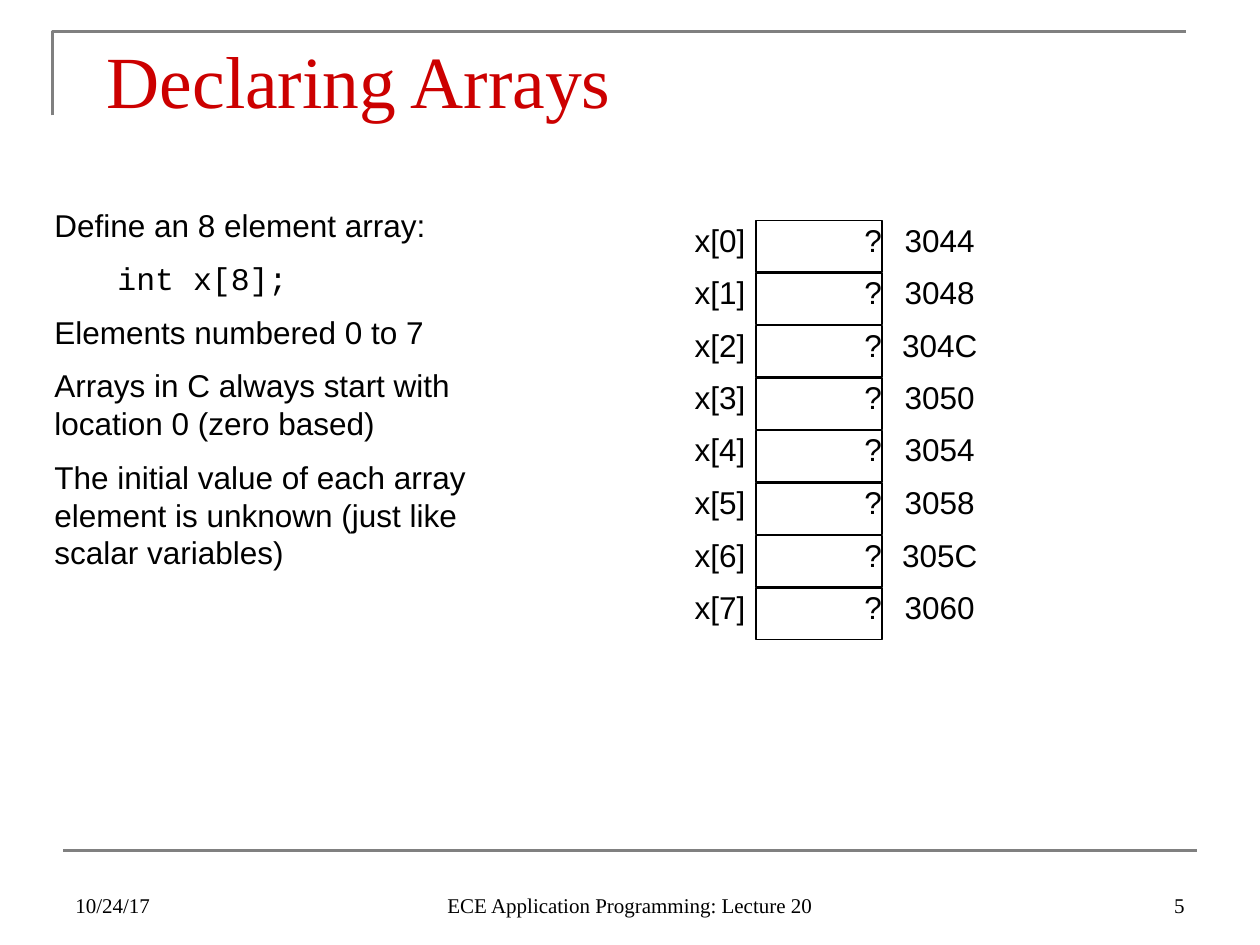
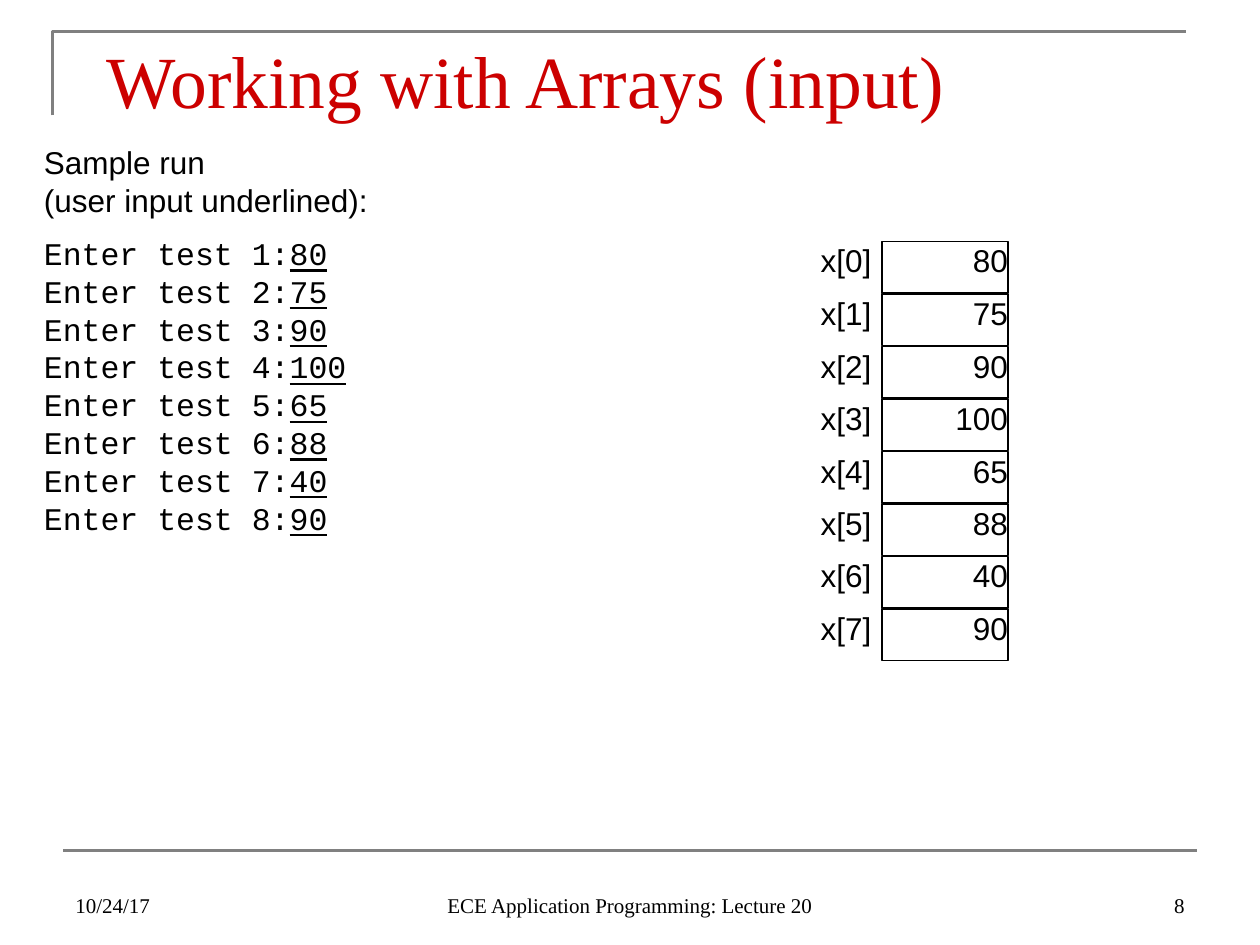
from pptx import Presentation
from pptx.dml.color import RGBColor
from pptx.enum.shapes import MSO_CONNECTOR, MSO_SHAPE
from pptx.enum.text import MSO_ANCHOR, PP_ALIGN
from pptx.oxml.ns import qn
from pptx.util import Pt
from lxml import etree

SANS, MONO, SERIF = "Arial", "Courier New", "Times New Roman"
BLACK, GRAY, RED = "000000", "808080", "CC0000"
LEFT, CENTER, RIGHT = PP_ALIGN.LEFT, PP_ALIGN.CENTER, PP_ALIGN.RIGHT
DATE = "10/24/17"
COURSE = "ECE Application Programming: Lecture 20"
BODY_SIZE, LINE_HEIGHT, PARA_GAP = 18, 21.6, 9
ROW_PITCH, CELL_HEIGHT, CELL_WIDTH, LABEL_WIDTH = 30, 29.5, 72, 66

scores = [80, 75, 90, 100, 65, 88, 40, 90]

slides = [
    {
        "title": "Declaring Arrays",
        "number": 5,
        "body_box": (24, 114, 276, 225),
        "body": [
            [[("Define an 8 element array:", SANS, False)]],
            [[("\t", SANS, False), ("int x[8];", MONO, False)]],
            [[("Elements numbered 0 to 7", SANS, False)]],
            [[("Arrays in C always start with location 0 (zero based)", SANS, False)]],
            [[("The initial value of each array element is unknown "
               "(just like scalar variables)", SANS, False)]],
        ],
        "array_at": (360, 126),
        "values": ["?"] * 8,
        "addresses": ["3044", "3048", "304C", "3050", "3054", "3058", "305C", "3060"],
    },
    {
        "title": "Working with Arrays (input)",
        "number": 8,
        "body_box": (18, 78, 288, 381),
        "body": [
            [[("Sample run ", SANS, False)], [("(user input underlined):", SANS, False)]],
            [[(f"Enter test {n}:", MONO, False), (str(score), MONO, True)]
             for n, score in enumerate(scores, 1)],
        ],
        "array_at": (432, 138),
        "values": [str(score) for score in scores],
        "addresses": [],
    },
]


def rgb(color):
    return RGBColor.from_string(color)


def style(font, name, size, color=BLACK):
    font.name = name
    font.size = Pt(size)
    font.color.rgb = rgb(color)


def add_box(s, box):
    tf = s.shapes.add_textbox(*map(Pt, box)).text_frame
    tf.word_wrap = True
    return tf


def add_line_text(s, box, text, font, size, color=BLACK, align=LEFT, anchor=MSO_ANCHOR.TOP):
    tf = add_box(s, box)
    tf.vertical_anchor = anchor
    set_line(tf, text, font, size, color, align)
    return tf


def set_line(tf, text, font, size, color, align):
    p = tf.paragraphs[0]
    p.text = text
    p.alignment = align
    style(p.runs[0].font, font, size, color)


def clear_margins(tf):
    tf.margin_left = tf.margin_right = tf.margin_top = tf.margin_bottom = 0
    tf.paragraphs[0].line_spacing = Pt(LINE_HEIGHT)


def add_frame(s):
    corner = s.shapes.build_freeform(Pt(30), Pt(66))
    corner.add_line_segments([(Pt(30), Pt(18)), (Pt(678), Pt(18))], close=False)
    sp = corner.convert_to_shape()
    sp.shadow.inherit = False
    sp.fill.background()
    rule = s.shapes.add_connector(MSO_CONNECTOR.STRAIGHT, Pt(36), Pt(486), Pt(684), Pt(486))
    etree.SubElement(rule.element.spPr, qn("a:effectLst"))
    for line in (sp.line, rule.line):
        line.color.rgb = rgb(GRAY)
        line.width = Pt(1.5)


def add_title(s, title):
    tf = add_line_text(s, (54, 12, 612, 42), title, SERIF, 42, RED)
    tf.margin_top = Pt(8)


def add_footer(s, number):
    for left, width, text, align in (
        (36, 168, DATE, LEFT),
        (516, 168, str(number), RIGHT),
        (246, 228, COURSE, CENTER),
    ):
        add_line_text(s, (left, 492, width, 36), text, SERIF, 12,
                      align=align, anchor=MSO_ANCHOR.BOTTOM)


def add_body(s, box, paragraphs):
    tf = add_box(s, box)
    for i, lines in enumerate(paragraphs):
        p = tf.add_paragraph() if i else tf.paragraphs[0]
        p.line_spacing = Pt(LINE_HEIGHT)
        if i:
            p.space_before = Pt(PARA_GAP)
        for j, runs in enumerate(lines):
            if j:
                p.add_line_break()
            for text, font, underline in runs:
                r = p.add_run()
                r.text = text
                style(r.font, font, BODY_SIZE)
                r.font.underline = underline


def add_label(s, left, top, text, align):
    tf = add_line_text(s, (left, top, LABEL_WIDTH, 29), text, SANS, BODY_SIZE, align=align)
    clear_margins(tf)


def add_cell(s, left, top, value):
    sp = s.shapes.add_shape(MSO_SHAPE.RECTANGLE, Pt(left), Pt(top),
                            Pt(CELL_WIDTH), Pt(CELL_HEIGHT))
    sp.shadow.inherit = False
    sp.fill.background()
    sp.line.color.rgb = rgb(BLACK)
    sp.line.width = Pt(0.75)
    tf = sp.text_frame
    tf.vertical_anchor = MSO_ANCHOR.TOP
    set_line(tf, value, SANS, BODY_SIZE, BLACK, RIGHT)
    clear_margins(tf)


def add_array(s, left, top, values, addresses):
    cell_left = left + CELL_WIDTH
    for i, value in enumerate(values):
        y = top + i * ROW_PITCH
        add_label(s, left, y, f"x[{i}]", RIGHT)
        add_cell(s, cell_left, y, value)
    for i, address in enumerate(addresses):
        add_label(s, cell_left + CELL_WIDTH, top + i * ROW_PITCH, address, CENTER)


def main():
    prs = Presentation()
    prs.slide_width, prs.slide_height = Pt(720), Pt(540)
    for content in slides:
        s = prs.slides.add_slide(prs.slide_layouts[6])
        add_frame(s)
        add_title(s, content["title"])
        add_body(s, content["body_box"], content["body"])
        add_array(s, *content["array_at"], content["values"], content["addresses"])
        add_footer(s, content["number"])
    prs.save("out.pptx")


if __name__ == "__main__":
    main()
